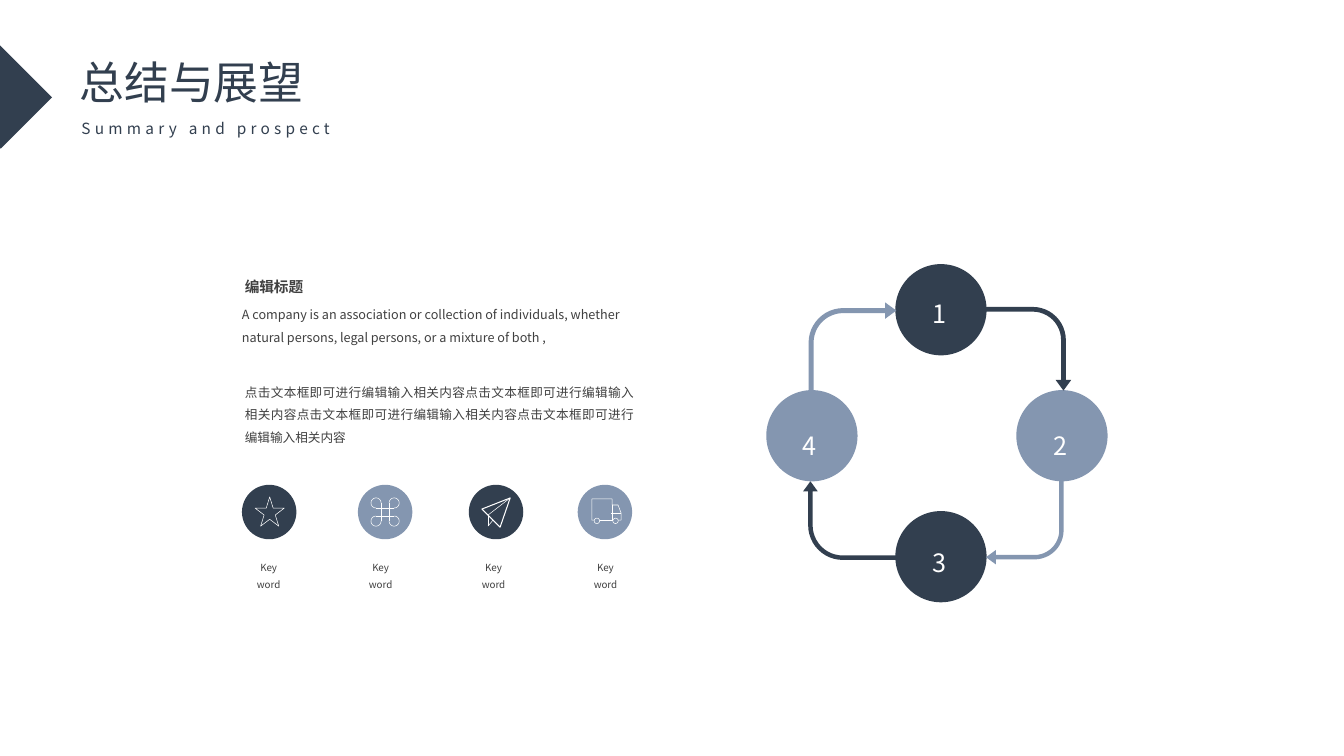
"""Build a summary slide with a four-step cycle and a row of keyword icons."""
from dataclasses import dataclass
from math import cos, pi, sin
from typing import Optional

from lxml.etree import SubElement
from pptx import Presentation
from pptx.dml.color import RGBColor
from pptx.enum.shapes import MSO_CONNECTOR, MSO_SHAPE as Shape
from pptx.enum.text import MSO_AUTO_SIZE, PP_ALIGN as Align
from pptx.oxml.ns import qn
from pptx.util import Emu, Inches, Pt

CELL = Inches(0.1)
FONT = "Noto Sans CJK SC"
NAVY, STEEL, GREY, WHITE = "323F4F", "8496B0", "404040", "FFFFFF"
THIN = 0.37
STEP_SIZE, DISC_SIZE, DISC_ROW = 9.05, 5.4, 48.1

Point = tuple[float, float]


@dataclass(frozen=True)
class Step:
    number: str
    col: float
    row: float
    label_col: float
    label_row: float
    color: str


@dataclass(frozen=True)
class Arrow:
    col: float
    row: float
    width: float
    height: float
    rotation: float
    bend: float
    color: str


@dataclass(frozen=True)
class Keyword:
    col: float
    label_col: float
    color: str


STEPS = (
    Step("1", 88.8, 26.2, 90.3, 27.6, NAVY),
    Step("2", 100.8, 38.7, 102.3, 40.7, STEEL),
    Step("3", 88.8, 50.7, 90.3, 52.3, NAVY),
    Step("4", 76, 38.7, 77.4, 40.7, STEEL),
)
ARROWS = (
    Arrow(97.8, 47.7, 7.7, 8.3, 0, 0.376, STEEL),
    Arrow(97.4, 29.9, 8.3, 9.4, 270, 0.395, NAVY),
    Arrow(80.2, 30, 8.7, 8.8, 180, 0.395, STEEL),
    Arrow(80.5, 46.9, 7.8, 9.5, 90, 0.44, NAVY),
)
KEYWORDS = (
    Keyword(24, 24.6, NAVY),
    Keyword(35.5, 35.7, STEEL),
    Keyword(46.5, 46.9, NAVY),
    Keyword(57.3, 58, STEEL),
)


def cells(value: float) -> Emu:
    """Turn a count of grid cells into a length."""
    return Emu(round(value * CELL))


def rgb(color: str) -> RGBColor:
    """Turn a hex string into a colour."""
    return RGBColor.from_string(color)


def add_shape(s, kind, col: float, row: float, width: float, height: float,
              fill: Optional[str] = None, line: Optional[str] = None):
    """Draw a preset shape on the grid."""
    sp = s.shapes.add_shape(kind, *map(cells, (col, row, width, height)))
    return paint(sp, fill, line)


def paint(sp, fill: Optional[str] = None, line: Optional[str] = None, weight: float = THIN):
    """Set fill and outline and drop the shadow."""
    sp.shadow.inherit = False
    if fill:
        sp.fill.solid()
        sp.fill.fore_color.rgb = rgb(fill)
    else:
        sp.fill.background()
    if line:
        sp.line.color.rgb = rgb(line)
        sp.line.width = Pt(weight)
    else:
        sp.line.fill.background()
    return sp


def add_text(s, text: str, col: float, row: float, width: float, height: float, *,
             size: float, color: str = GREY, bold: bool = False, align=Align.LEFT,
             leading: float = 1.5, inset: bool = True, tracking: float = 0) -> None:
    """Write one formatted paragraph in a text box."""
    tf = s.shapes.add_textbox(*map(cells, (col, row, width, height))).text_frame
    tf.word_wrap = True
    tf.auto_size = MSO_AUTO_SIZE.SHAPE_TO_FIT_TEXT
    if not inset:
        tf.margin_left = tf.margin_right = tf.margin_top = tf.margin_bottom = 0
    p = tf.paragraphs[0]
    p.alignment, p.line_spacing = align, leading
    r = p.add_run()
    r.text = text
    r.font.size, r.font.bold, r.font.name = Pt(size), bold, FONT
    r.font.color.rgb = rgb(color)
    props = r._r.get_or_add_rPr()
    SubElement(props, qn("a:ea")).set("typeface", FONT)
    if tracking:
        props.set("spc", str(round(tracking * 100)))


def add_stroke(s, center: Point, points: list[Point], closed: bool = False,
               weight: float = THIN) -> None:
    """Draw a white icon stroke from points relative to the icon centre."""
    spots = [(cells(center[0] + x), cells(center[1] + y)) for x, y in points]
    if len(spots) == 2:
        line = s.shapes.add_connector(MSO_CONNECTOR.STRAIGHT, *spots[0], *spots[1])
        line.line.color.rgb = rgb(WHITE)
        line.line.width = Pt(weight)
        SubElement(line._element.spPr, qn("a:effectLst"))
        return
    outline = s.shapes.build_freeform(*spots[0])
    outline.add_line_segments(spots[1:], close=closed)
    paint(outline.convert_to_shape(), line=WHITE, weight=weight)


def draw_star(s, center: Point) -> None:
    """Draw the star icon."""
    add_shape(s, Shape.STAR_5_POINT, center[0] - 1.4, center[1] - 1.5, 2.9, 2.9, line=WHITE)


def draw_command(s, center: Point) -> None:
    """Draw the looped square icon."""
    turns = [pi / 2 + i * pi / 24 for i in range(37)]
    for sx in (-1, 1):
        for sy in (-1, 1):
            add_stroke(s, center, [(-sx * (-0.9 + 0.5 * cos(t)), -sy * (-0.9 + 0.5 * sin(t)))
                                   for t in turns])
    for side in (-0.4, 0.4):
        add_stroke(s, center, [(side, -0.9), (side, 0.9)])
        add_stroke(s, center, [(-0.9, side), (0.9, side)])


def draw_plane(s, center: Point) -> None:
    """Draw the paper plane icon."""
    nose, fold, tail = (1.4, -1.4), (-0.8, 0.3), (-0.8, 1.4)
    add_stroke(s, center, [nose, (0.4, 1.5), (-1.4, -0.3)], closed=True, weight=0.75)
    for ends in ([nose, fold], [fold, tail], [(-0.3, 0.8), tail]):
        add_stroke(s, center, ends)


def draw_truck(s, center: Point) -> None:
    """Draw the truck icon."""
    for axle in (-0.8, 1.05):
        add_shape(s, Shape.OVAL, center[0] + axle - 0.27, center[1] + 0.6, 0.54, 0.54, line=WHITE)
    add_stroke(s, center, [(-1.1, 0.8), (-1.3, 0.8), (-1.3, -1.3), (0.7, -1.3), (0.7, -0.7),
                           (1.3, -0.7), (1.6, 0.1), (1.6, 0.8), (1.3, 0.8)])
    for ends in ([(-0.5, 0.85), (0.8, 0.85)], [(0.7, -0.7), (0.7, 0.8)], [(1.6, 0.1), (0.6, 0.1)]):
        add_stroke(s, center, ends)


def draw_cycle(s) -> None:
    """Draw the numbered circles and the bent arrows between them."""
    for step in STEPS:
        add_shape(s, Shape.OVAL, step.col, step.row, STEP_SIZE, STEP_SIZE, step.color)
    for arrow in ARROWS:
        sp = add_shape(s, Shape.BENT_ARROW, arrow.col, arrow.row, arrow.width, arrow.height,
                       arrow.color)
        sp.rotation = arrow.rotation
        for i, value in enumerate((0.057, 0.093, 0.127, arrow.bend)):
            sp.adjustments[i] = value
        for flip in ("flipH", "flipV"):
            sp._element.spPr.find(qn("a:xfrm")).set(flip, "1")
    for step in STEPS:
        add_text(s, step.number, step.label_col, step.label_row, 5.8, 5, size=18, color=WHITE,
                 align=Align.CENTER)


def main() -> None:
    """Build and save the slide."""
    prs = Presentation()
    prs.slide_width, prs.slide_height = Inches(13.33), Inches(7.5)
    s = prs.slides.add_slide(prs.slide_layouts[6])
    add_shape(s, Shape.RECTANGLE, -3.7, 6, 7.4, 7.2, NAVY).rotation = 45
    add_text(s, "总结与展望", 6.9, 4.9, 37.5, 6.4, size=32, color=NAVY, leading=1)
    add_text(s, "Summary and prospect", 7.1, 10.4, 43, 3.4, size=11, color=NAVY, tracking=3)
    draw_cycle(s)
    for keyword, draw_icon in zip(KEYWORDS, (draw_star, draw_command, draw_plane, draw_truck)):
        add_shape(s, Shape.OVAL, keyword.col, DISC_ROW, DISC_SIZE, DISC_SIZE, keyword.color)
        draw_icon(s, (keyword.col + DISC_SIZE / 2, DISC_ROW + DISC_SIZE / 2))
        add_text(s, "Key word", keyword.label_col, 55.1, 4.1, 1.6, size=7, align=Align.CENTER,
                 inset=False)
    add_text(s, "编辑标题", 23.3, 26.2, 12.3, 3.5, size=10.5, bold=True)
    add_text(s, "A company is an association or collection of individuals, whether natural "
             "persons, legal persons, or a mixture of both ,", 24, 29.7, 39.3, 4.3, size=9,
             inset=False)
    add_text(s, "点击文本框即可进行编辑输入相关内容" * 4, 23.3, 36.9, 40.5, 7.6, size=9,
             align=Align.JUSTIFY)
    prs.save("out.pptx")


if __name__ == "__main__":
    main()
